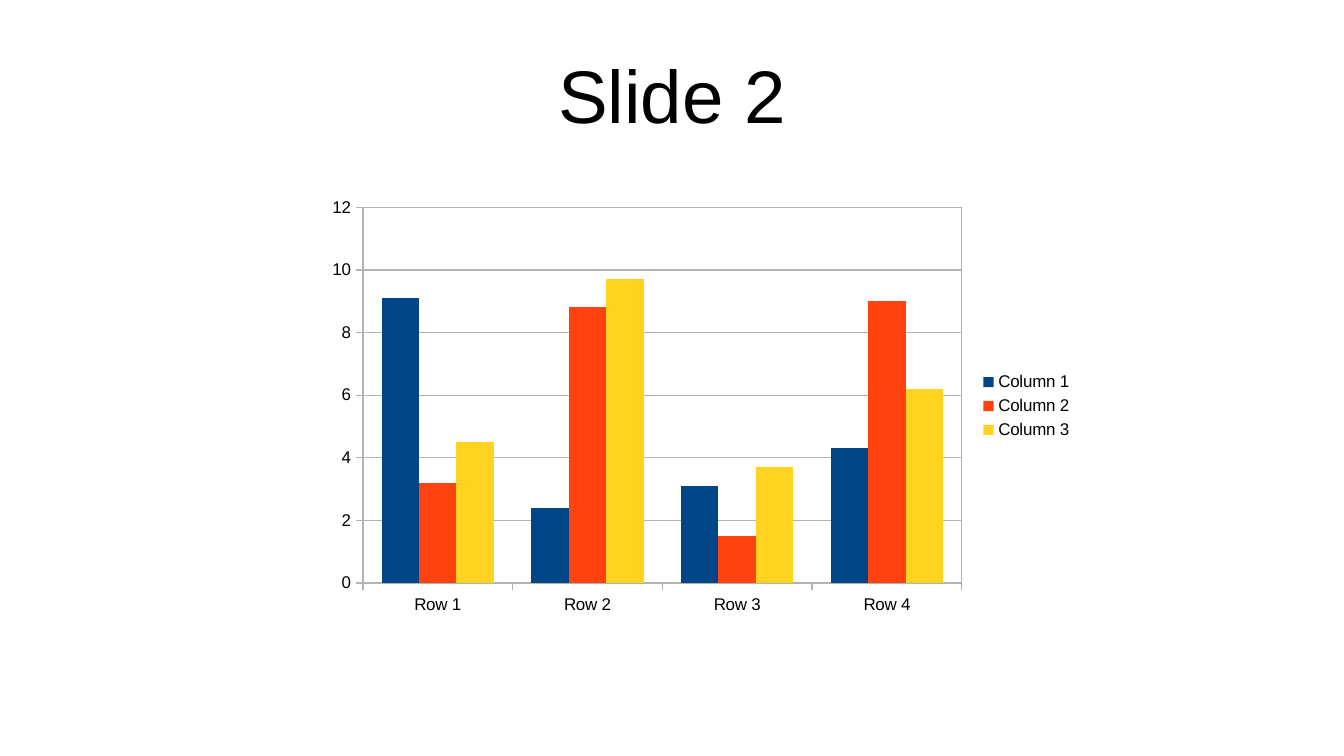
from lxml.etree import fromstring
from pptx import Presentation
from pptx.chart.data import CategoryChartData
from pptx.dml.color import RGBColor
from pptx.enum.chart import XL_CHART_TYPE, XL_LEGEND_POSITION, XL_TICK_MARK
from pptx.enum.text import MSO_ANCHOR, MSO_AUTO_SIZE, PP_ALIGN
from pptx.util import Cm, Pt

BLACK = RGBColor(0x00, 0x00, 0x00)
GREY = RGBColor(0xB3, 0xB3, 0xB3)
BLUE = RGBColor(0x00, 0x45, 0x86)
ORANGE = RGBColor(0xFF, 0x42, 0x0E)
YELLOW = RGBColor(0xFF, 0xD3, 0x20)
FONT = "Arial"

TITLE = "Slide 2"
ROWS = ["Row 1", "Row 2", "Row 3", "Row 4"]
COLUMNS = [
    ("Column 1", (9.1, 2.4, 3.1, 4.3), BLUE),
    ("Column 2", (3.2, 8.8, 1.5, 9), ORANGE),
    ("Column 3", (4.5, 9.7, 3.7, 6.2), YELLOW),
]
PLOT_PLACE = {"x": 0.06, "y": 0.04, "w": 0.78, "h": 0.87}
CHART_SPACE = "http://schemas.openxmlformats.org/drawingml/2006/chart"
DRAWING_SPACE = "http://schemas.openxmlformats.org/drawingml/2006/main"


def style_font(font, size):
    font.name = FONT
    font.size = Pt(size)
    font.color.rgb = BLACK


def style_line(line):
    line.color.rgb = GREY
    line.width = Pt(0.75)


def frame_plot(chart):
    plot_area = chart.plots[0]._element.getparent()
    for layout in plot_area.findall(f"{{{CHART_SPACE}}}layout"):
        plot_area.remove(layout)
    modes = "".join(f'<c:{key}Mode val="edge"/>' for key in "xy")
    places = "".join(f'<c:{key} val="{value}"/>' for key, value in PLOT_PLACE.items())
    plot_area.insert(0, fromstring(
        f'<c:layout xmlns:c="{CHART_SPACE}"><c:manualLayout>'
        f'<c:layoutTarget val="inner"/>{modes}{places}'
        '</c:manualLayout></c:layout>'))
    plot_area.append(fromstring(
        f'<c:spPr xmlns:c="{CHART_SPACE}" xmlns:a="{DRAWING_SPACE}"><a:noFill/>'
        f'<a:ln w="{Pt(0.75)}"><a:solidFill><a:srgbClr val="{GREY}"/></a:solidFill></a:ln>'
        '</c:spPr>'))


deck = Presentation()
deck.slide_width, deck.slide_height = Cm(28), Cm(15.75)
page = deck.slides.add_slide(deck.slide_layouts[5])

title = page.shapes.title
title.left, title.top, title.width, title.height = Cm(1.4), Cm(0.63), Cm(25.2), Cm(2.64)
frame = title.text_frame
frame.text = TITLE
frame.word_wrap = True
frame.auto_size = MSO_AUTO_SIZE.NONE
frame.vertical_anchor = MSO_ANCHOR.MIDDLE
frame.margin_left = frame.margin_right = frame.margin_top = frame.margin_bottom = 0
para = frame.paragraphs[0]
para.alignment = PP_ALIGN.CENTER
style_font(para.font, 44)

data = CategoryChartData()
data.categories = ROWS
for name, values, color in COLUMNS:
    data.add_series(name, values)
chart = page.shapes.add_chart(
    XL_CHART_TYPE.COLUMN_CLUSTERED, Cm(6.6), Cm(3.96), Cm(16), Cm(9), data).chart
chart.has_title = False
style_font(chart.font, 10)
chart.has_legend = True
chart.legend.position = XL_LEGEND_POSITION.RIGHT
chart.legend.include_in_layout = False
style_font(chart.legend.font, 10)

plot = chart.plots[0]
plot.gap_width = 100
plot.overlap = 0
plot.vary_by_categories = False
for series, (name, values, color) in zip(plot.series, COLUMNS):
    series.format.fill.solid()
    series.format.fill.fore_color.rgb = color

for axis in (chart.category_axis, chart.value_axis):
    axis.major_tick_mark = XL_TICK_MARK.OUTSIDE
    axis.minor_tick_mark = XL_TICK_MARK.NONE
    style_font(axis.tick_labels.font, 10)
    style_line(axis.format.line)
value_axis = chart.value_axis
value_axis.minimum_scale, value_axis.maximum_scale, value_axis.major_unit = 0, 12, 2
style_line(value_axis.major_gridlines.format.line)
frame_plot(chart)

deck.save("out.pptx")
